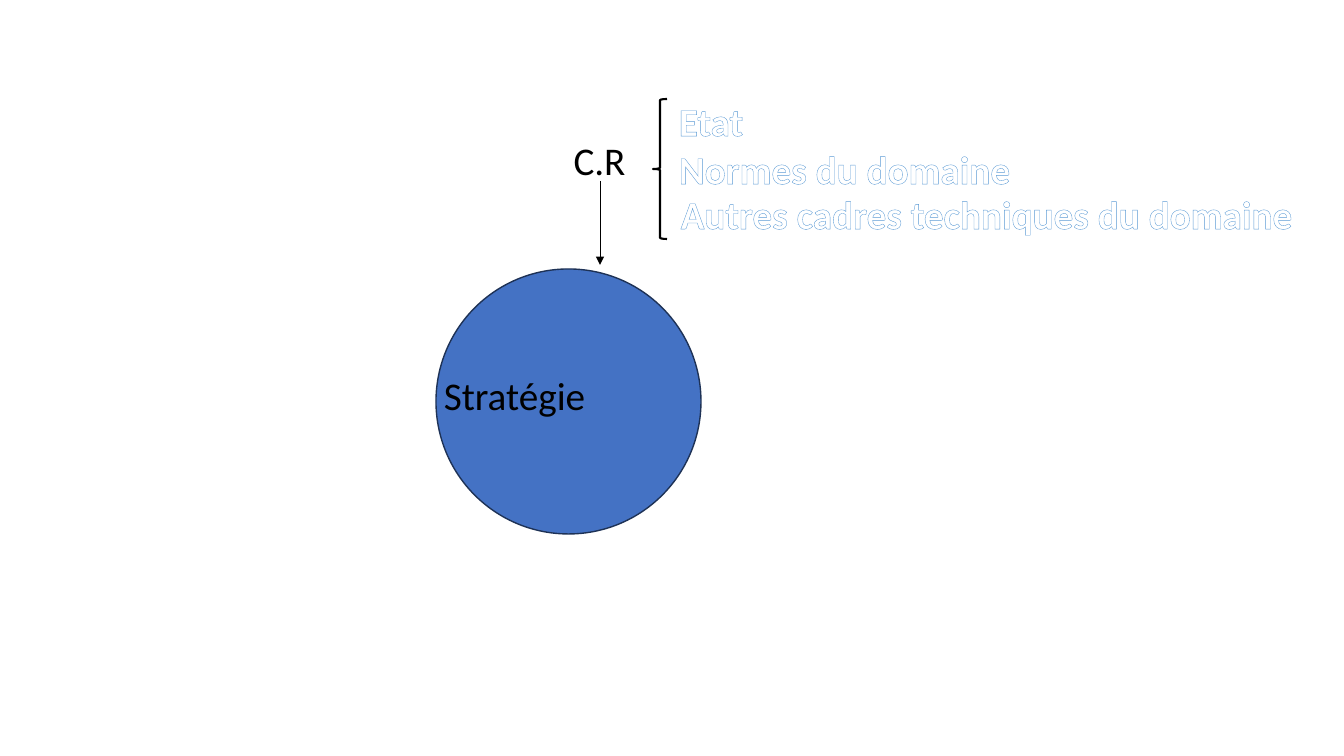
"""Builds the strategy slide with its reference frameworks."""
from dataclasses import dataclass

from lxml.etree import SubElement
from pptx import Presentation
from pptx.dml.color import RGBColor
from pptx.enum.shapes import MSO_CONNECTOR, MSO_SHAPE
from pptx.enum.text import MSO_AUTO_SIZE, PP_ALIGN
from pptx.oxml import parse_xml
from pptx.oxml.ns import nsdecls, qn
from pptx.util import Pt

EMU_PER_PX = 914400 / 100.8


def px(length):
    """Turns whole pixels into EMU."""
    return round(length * EMU_PER_PX)


@dataclass(frozen=True)
class Theme:
    """Holds the colours and type sizes."""
    font: str = "Calibri"
    size: int = 28
    ink: str = "000000"
    paper: str = "FFFFFF"
    disc: str = "4472C4"
    disc_edge: str = "1E3256"
    glyph_edge: str = "5B9BD5"
    glyph_edge_width: float = 0.8


class Diagram:
    """Draws elements on one slide in one style."""

    def __init__(self, slide, theme):
        """Keeps the slide and its theme."""
        self.shapes = slide.shapes
        self.theme = theme

    def stroke(self, line, color, width):
        """Sets the colour and width of a line."""
        line.color.rgb = RGBColor.from_string(color)
        line.width = Pt(width)

    def outline_shape(self, preset, box, color, width, fill=None):
        """Adds a preset shape with an outline and an optional fill."""
        figure = self.shapes.add_shape(preset, *map(px, box))
        figure.shadow.inherit = False
        if fill:
            figure.fill.solid()
            figure.fill.fore_color.rgb = RGBColor.from_string(fill)
        else:
            figure.fill.background()
        self.stroke(figure.line, color, width)

    def arrow(self, start, end):
        """Adds a thin arrow between two points."""
        shaft = self.shapes.add_connector(MSO_CONNECTOR.STRAIGHT, *map(px, start + end))
        self.stroke(shaft.line, self.theme.ink, 0.5)
        SubElement(shaft.line._get_or_add_ln(), qn("a:tailEnd"), type="triangle")
        SubElement(shaft._element.spPr, qn("a:effectLst"))

    def label(self, text, box, outlined=False):
        """Adds a one-line label, plain or with outlined letters."""
        theme = self.theme
        caption = self.shapes.add_textbox(*map(px, box))
        frame = caption.text_frame
        frame.text = text
        frame.word_wrap = False
        frame.auto_size = MSO_AUTO_SIZE.SHAPE_TO_FIT_TEXT
        paragraph = frame.paragraphs[0]
        paragraph.alignment = PP_ALIGN.CENTER
        run = paragraph.runs[0]
        run.font.name = theme.font
        run.font.size = Pt(theme.size)
        run.font.bold = outlined
        run.font.color.rgb = RGBColor.from_string(theme.paper if outlined else theme.ink)
        if outlined:
            run._r.get_or_add_rPr().insert(0, parse_xml(
                f'<a:ln {nsdecls("a")} w="{Pt(theme.glyph_edge_width)}"><a:solidFill>'
                f'<a:srgbClr val="{theme.glyph_edge}"/></a:solidFill></a:ln>'))


def main():
    """Builds and saves the slide."""
    presentation = Presentation()
    presentation.slide_width, presentation.slide_height = px(1344), px(756)
    theme = Theme()
    diagram = Diagram(presentation.slides.add_slide(presentation.slide_layouts[6]), theme)

    diagram.outline_shape(MSO_SHAPE.OVAL, (436, 269, 265, 265), theme.disc_edge, 1, theme.disc)
    diagram.label("C.R", (563, 131, 73, 57))
    diagram.label("Stratégie", (433, 366, 163, 57))
    diagram.arrow((600, 181), (600, 265))
    diagram.outline_shape(MSO_SHAPE.LEFT_BRACE, (653, 99, 14, 140), theme.ink, 1.5)

    frameworks = (
        ("Etat", (668, 92, 86, 57)),
        ("Normes du domaine", (667, 140, 355, 57)),
        ("Autres cadres techniques du domaine", (667, 185, 639, 57)),
    )
    for framework, box in frameworks:
        diagram.label(framework, box, outlined=True)

    presentation.save("out.pptx")


if __name__ == "__main__":
    main()
